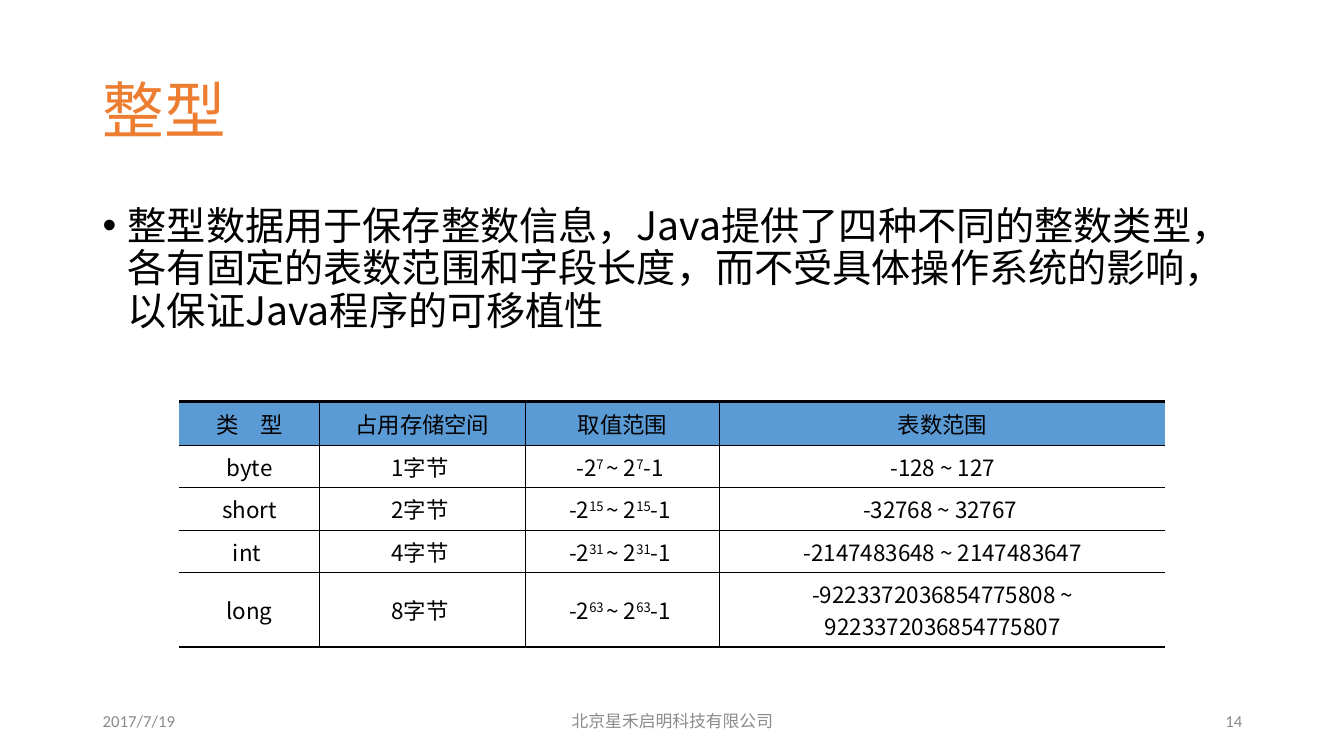
from lxml.etree import SubElement
from pptx import Presentation
from pptx.dml.color import RGBColor
from pptx.enum.text import MSO_ANCHOR, PP_ALIGN
from pptx.oxml.ns import qn
from pptx.util import Inches, Pt

COLORS = {"title": "ED7D31", "text": "000000", "footer": "8C8C8C",
          "header": "5B9BD5", "line": "000000"}
CJK = "Noto Sans CJK SC"
LATIN = "Calibri"
THIN, THICK = 1, 2.25

TITLE = "整型"
BODY = ("整型数据用于保存整数信息，Java提供了四种不同的整数类型，"
        "各有固定的表数范围和字段长度，而不受具体操作系统的影响，"
        "以保证Java程序的可移植性")
HEADERS = ["类　型", "占用存储空间", "取值范围", "表数范围"]
TYPES = [
    ("byte", 1, 7, "-128 ~ 127"),
    ("short", 2, 15, "-32768 ~ 32767 "),
    ("int ", 4, 31, "-2147483648 ~ 2147483647"),
    ("long", 8, 63, "-9223372036854775808 ~ 9223372036854775807"),
]
COL_WIDTHS = [1.39, 2.04, 1.93, 4.42]
ROW_HEIGHTS = [0.44, 0.42, 0.42, 0.42, 0.74]


def add_run(p, text, size, color, font=CJK, raised=False):
    r = p.add_run()
    r.text = text
    for name, value in {"size": Pt(size), "name": font}.items():
        setattr(r.font, name, value)
    r.font.color.rgb = RGBColor.from_string(COLORS[color])
    rPr = r._r.get_or_add_rPr()
    SubElement(rPr, qn("a:ea")).set("typeface", font)
    if raised:
        rPr.set("baseline", "30000")


def add_text(s, box, text, size, color, font=CJK, anchor=MSO_ANCHOR.MIDDLE, **fmt):
    tf = s.shapes.add_textbox(*map(Inches, box)).text_frame
    tf.word_wrap = True
    tf.vertical_anchor = anchor
    p = tf.paragraphs[0]
    for name, value in fmt.items():
        setattr(p, name, value)
    add_run(p, text, size, color, font)
    return p


def add_body(s, box):
    p = add_text(s, box, BODY, 28, "text", anchor=MSO_ANCHOR.TOP,
                 line_spacing=0.9, space_before=Pt(10))
    pPr = p._p.get_or_add_pPr()
    pPr.set("marL", str(Inches(0.25)))
    pPr.set("indent", str(Inches(-0.25)))
    SubElement(pPr, qn("a:buFont")).set("typeface", "Arial")
    SubElement(pPr, qn("a:buChar")).set("char", "•")


def set_borders(cell, widths):
    tcPr = cell._tc.get_or_add_tcPr()
    for side, width in widths.items():
        ln = SubElement(tcPr, qn(f"a:ln{side}"))
        if width:
            ln.set("w", str(Pt(width)))
            fill = SubElement(ln, qn("a:solidFill"))
            SubElement(fill, qn("a:srgbClr")).set("val", COLORS["line"])
        else:
            SubElement(ln, qn("a:noFill"))


def type_row(name, size, bits, values):
    power = [("-2", False), (f"{bits} ", True), ("~ 2", False),
             (str(bits), True), ("-1 ", False)]
    return [[(name, False)], [(f"{size}字节 ", False)], power, [(values, False)]]


def add_type_table(s, left, top):
    rows = [[[(h, False)] for h in HEADERS]] + [type_row(*t) for t in TYPES]
    n_rows, n_cols = len(rows), len(HEADERS)
    box = (left, top, sum(COL_WIDTHS), sum(ROW_HEIGHTS))
    table = s.shapes.add_table(n_rows, n_cols, *map(Inches, box)).table
    table.first_row = table.horz_banding = False
    for column, width in zip(table.columns, COL_WIDTHS):
        column.width = Inches(width)
    for row, height in zip(table.rows, ROW_HEIGHTS):
        row.height = Inches(height)

    cell_format = {"vertical_anchor": MSO_ANCHOR.MIDDLE,
                   "margin_left": Inches(0.13), "margin_right": Inches(0.13),
                   "margin_top": Inches(0.05), "margin_bottom": Inches(0.05)}
    for i, row in enumerate(rows):
        for j, runs in enumerate(row):
            cell = table.cell(i, j)
            for name, value in cell_format.items():
                setattr(cell, name, value)
            set_borders(cell, {"L": THIN if j else 0,
                               "R": THIN if j < n_cols - 1 else 0,
                               "T": THIN if i else THICK,
                               "B": THIN if i < n_rows - 1 else THICK})
            if i == 0:
                cell.fill.solid()
                cell.fill.fore_color.rgb = RGBColor.from_string(COLORS["header"])
            else:
                cell.fill.background()
            p = cell.text_frame.paragraphs[0]
            p.alignment = PP_ALIGN.CENTER
            for text, raised in runs:
                add_run(p, text, 16, "text", raised=raised)


def add_footer(s, top, height):
    for left, width, text, font, align in [
        (0.92, 3, "2017/7/19", LATIN, PP_ALIGN.LEFT),
        (4.42, 4.5, "北京星禾启明科技有限公司", CJK, PP_ALIGN.CENTER),
        (9.42, 3, "14", LATIN, PP_ALIGN.RIGHT),
    ]:
        add_text(s, (left, top, width, height), text, 12, "footer", font,
                 alignment=align)


def main():
    prs = Presentation()
    prs.slide_width, prs.slide_height = Inches(13.33), Inches(7.5)
    s = prs.slides.add_slide(prs.slide_layouts[6])
    add_text(s, (0.92, 0.4, 8.69, 1.45), TITLE, 44, "title", line_spacing=0.9)
    add_body(s, (0.92, 2, 11.5, 4.76))
    add_footer(s, 6.95, 0.4)
    add_type_table(s, 1.78, 3.98)
    prs.save("out.pptx")


if __name__ == "__main__":
    main()
